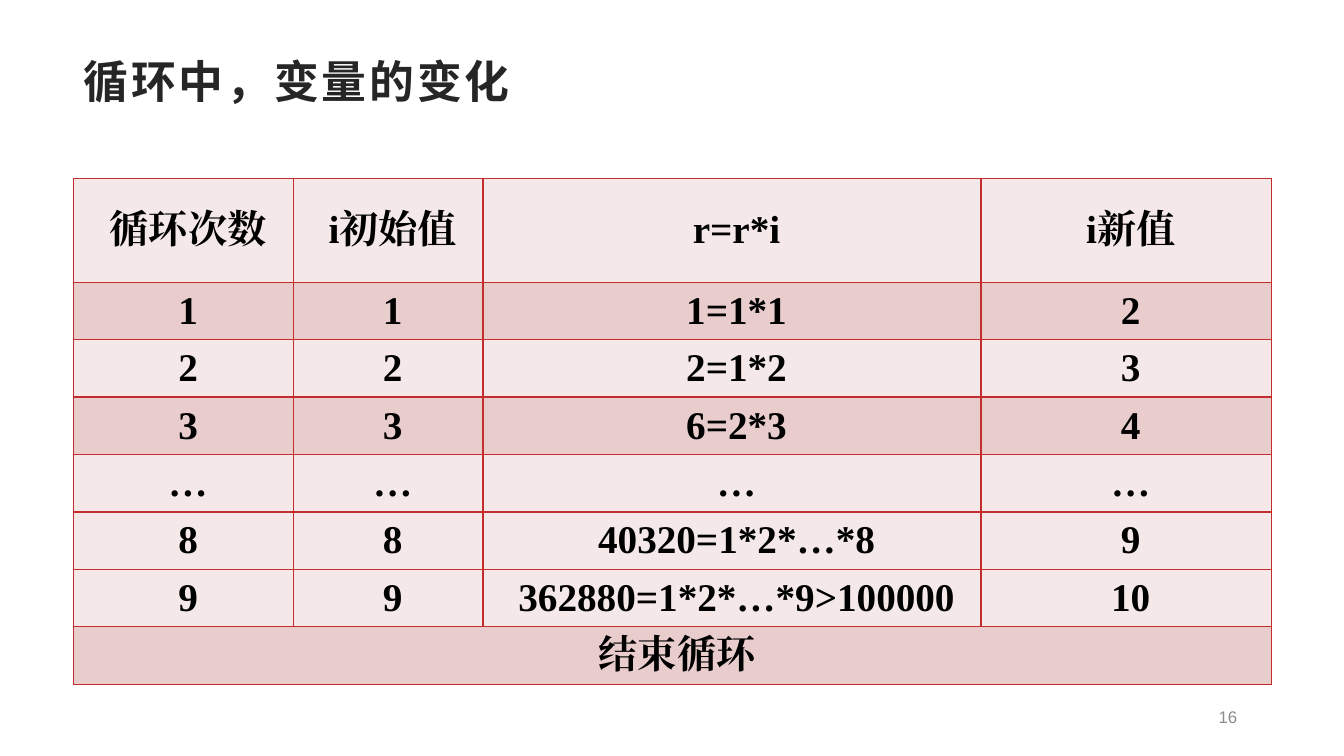
"""Build the slide that tabulates how the variables change in a loop."""
from dataclasses import dataclass

from lxml.etree import SubElement
from pptx import Presentation
from pptx.dml.color import RGBColor
from pptx.enum.text import MSO_ANCHOR, PP_ALIGN
from pptx.oxml import parse_xml
from pptx.oxml.ns import nsdecls, qn
from pptx.util import Inches, Pt

TITLE = "循环中，变量的变化"
HEADINGS = ("循环次数", "i初始值", "r=r*i", "i新值")
ITERATIONS = [
    ("1", "1", "1=1*1", "2"),
    ("2", "2", "2=1*2", "3"),
    ("3", "3", "6=2*3", "4"),
    ("…", "…", "…", "…"),
    ("8", "8", "40320=1*2*…*8", "9"),
    ("9", "9", "362880=1*2*…*9>100000", "10"),
]
ENDING = ("结束循环", "", "", "")
SHADED_ROWS = {1, 3, 7}
PAGE_NUMBER = "16"
COLUMN_WIDTHS = (2.18, 1.88, 4.94, 2.88)
HEADING_HEIGHT, ROW_HEIGHT = 1.03, 0.57
LEFT, CONTENT_WIDTH = 0.73, 11.87


@dataclass(frozen=True)
class Theme:
    title_font: str = "Arial"
    table_font: str = "Times New Roman"
    title_color: str = "262626"
    table_color: str = "000000"
    number_color: str = "8C8C8C"
    border: str = "C32D2E"
    light: str = "F5E8E8"
    shaded: str = "E9CDCD"
    title_size: int = 32
    table_size: int = 28
    number_size: int = 12


THEME = Theme()


def add_run(paragraph, text, font, size, color, bold=False):
    """Add one formatted run with the same Latin and East Asian typeface."""
    run = paragraph.add_run()
    run.text = text
    run.font.name, run.font.size, run.font.bold = font, Pt(size), bold
    run.font.color.rgb = RGBColor.from_string(color)
    SubElement(run.font._element, qn("a:ea")).set("typeface", font)
    return run


def add_borders(cell):
    """Draw a thin line on all four sides of a cell."""
    properties = cell._tc.get_or_add_tcPr()
    for position, side in enumerate("LRTB"):
        properties.insert(position, parse_xml(
            f'<a:ln{side} {nsdecls("a")} w="{Pt(1)}"><a:solidFill>'
            f'<a:srgbClr val="{THEME.border}"/></a:solidFill></a:ln{side}>'))


def add_title(slide):
    """Place and fill the title."""
    title = slide.shapes.title
    title.left, title.top = Inches(LEFT), Inches(0.48)
    title.width, title.height = Inches(CONTENT_WIDTH), Inches(0.78)
    title.text_frame.vertical_anchor = MSO_ANCHOR.TOP
    paragraph = title.text_frame.paragraphs[0]
    paragraph.alignment = PP_ALIGN.LEFT
    run = add_run(paragraph, TITLE, THEME.title_font, THEME.title_size,
                  THEME.title_color, True)
    run.font._element.set("spc", "200")


def add_loop_table(slide):
    """Add the table of loop iterations."""
    rows = [HEADINGS, *ITERATIONS, ENDING]
    heights = [HEADING_HEIGHT] + [ROW_HEIGHT] * (len(rows) - 1)
    table = slide.shapes.add_table(
        len(rows), len(HEADINGS), Inches(LEFT), Inches(1.77),
        Inches(CONTENT_WIDTH), Inches(sum(heights))).table
    for column, width in zip(table.columns, COLUMN_WIDTHS):
        column.width = Inches(width)
    for row_index, (values, height) in enumerate(zip(rows, heights)):
        table.rows[row_index].height = Inches(height)
        shade = THEME.shaded if row_index in SHADED_ROWS else THEME.light
        for cell, value in zip(table.rows[row_index].cells, values):
            cell.fill.solid()
            cell.fill.fore_color.rgb = RGBColor.from_string(shade)
            add_borders(cell)
            cell.vertical_anchor = MSO_ANCHOR.MIDDLE
            if value:
                paragraph = cell.text_frame.paragraphs[0]
                paragraph.alignment = PP_ALIGN.CENTER
                paragraph._p.get_or_add_pPr().set("indent", str(Inches(0.09)))
                add_run(paragraph, value, THEME.table_font, THEME.table_size,
                        THEME.table_color, True)
    last = len(rows) - 1
    table.cell(last, 0).merge(table.cell(last, len(HEADINGS) - 1))


def add_page_number(slide):
    """Add the page number at the bottom right."""
    frame = slide.shapes.add_textbox(
        Inches(9.42), Inches(6.94), Inches(2.95), Inches(0.35)).text_frame
    frame.word_wrap = True
    frame.vertical_anchor = MSO_ANCHOR.MIDDLE
    frame.paragraphs[0].alignment = PP_ALIGN.RIGHT
    add_run(frame.paragraphs[0], PAGE_NUMBER, THEME.title_font,
            THEME.number_size, THEME.number_color)


def main():
    """Build and save the presentation."""
    presentation = Presentation()
    presentation.slide_width = Inches(13.33)
    presentation.slide_height = Inches(7.5)
    slide = presentation.slides.add_slide(presentation.slide_layouts[5])
    add_title(slide)
    add_loop_table(slide)
    add_page_number(slide)
    presentation.save("out.pptx")


if __name__ == "__main__":
    main()
